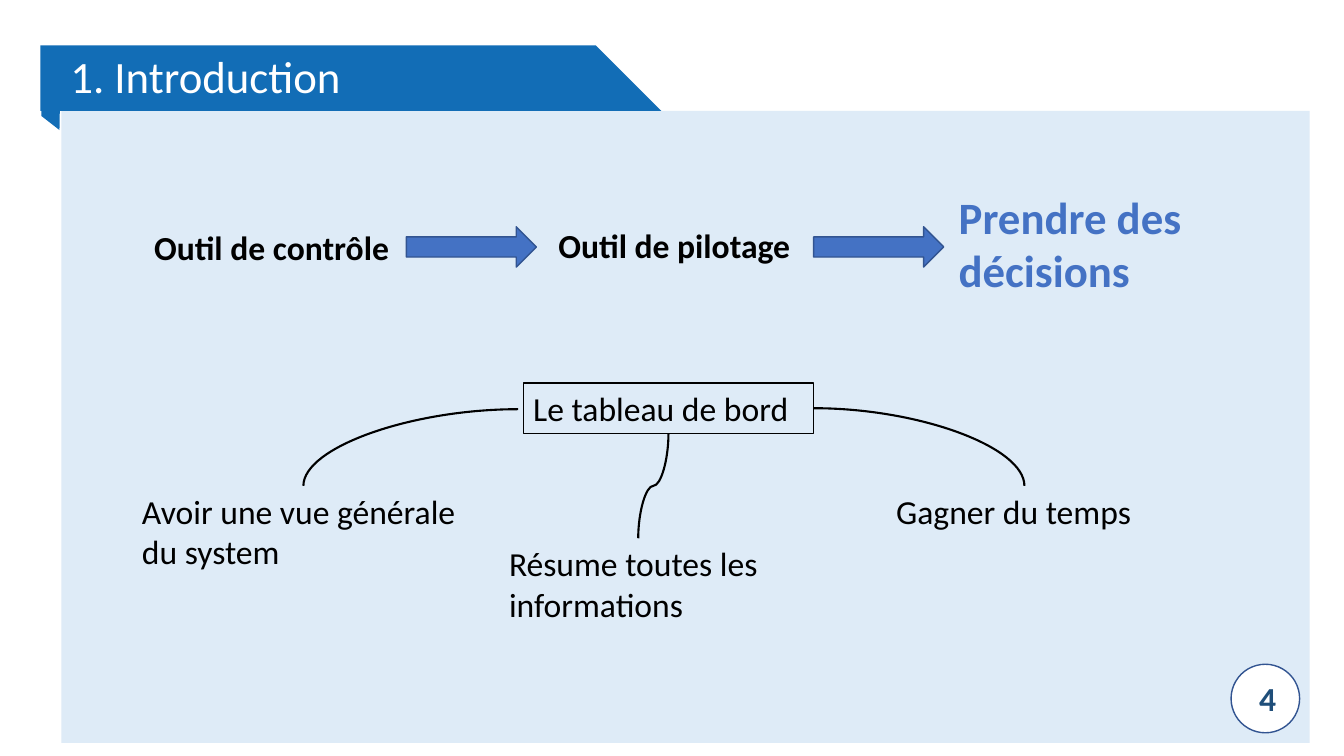
from lxml.etree import SubElement
from pptx import Presentation
from pptx.dml.color import RGBColor
from pptx.enum.shapes import MSO_CONNECTOR as Connector, MSO_SHAPE as Shape
from pptx.enum.text import MSO_ANCHOR as Anchor, PP_ALIGN as Align
from pptx.oxml.ns import qn
from pptx.util import Pt

EMU_PER_PX = 9144
BLACK, WHITE, BANNER_BLUE = "000000", "FFFFFF", "126DB6"
ARROW_BLUE, EDGE_BLUE, NUMBER_BLUE, PANEL_BLUE = "4472C4", "325491", "1F4E79", "DEEBF7"
BODY = {"name": "Calibri", "size": Pt(24), "bold": False, "color": BLACK}
STRONG = BODY | {"bold": True}
TITLE = BODY | {"size": Pt(32), "color": WHITE}
GOAL = STRONG | {"size": Pt(32), "color": ARROW_BLUE}
NUMBER = STRONG | {"color": NUMBER_BLUE}


def px(*lengths):
    """Turn px lengths into EMU."""
    return [length * EMU_PER_PX for length in lengths]


def rgb(value):
    """Turn a hex string into a colour."""
    return RGBColor.from_string(value)


def paint(shape, fill=None, line=None, width=1):
    """Set fill and outline, and drop the shadow."""
    shape.shadow.inherit = False
    if fill:
        shape.fill.solid()
        shape.fill.fore_color.rgb = rgb(fill)
    else:
        shape.fill.background()
    if line:
        shape.line.color.rgb = rgb(line)
        shape.line.width = Pt(width)
    else:
        shape.line.fill.background()


def add_block(slide, kind, box, **look):
    """Add a painted preset shape."""
    shape = slide.shapes.add_shape(kind, *px(*box))
    paint(shape, **look)
    return shape


def add_polygon(slide, points, fill):
    """Add a filled closed outline."""
    builder = slide.shapes.build_freeform(*points[0], scale=EMU_PER_PX)
    builder.add_line_segments(points[1:], close=True)
    paint(builder.convert_to_shape(), fill)


def write(shape, text, style, align=Align.LEFT, anchor=Anchor.TOP, spacing=1.0):
    """Write one paragraph into a shape."""
    frame = shape.text_frame
    frame.word_wrap = True
    frame.vertical_anchor = anchor
    paragraph = frame.paragraphs[0]
    paragraph.alignment = align
    paragraph.line_spacing = spacing
    run = paragraph.add_run()
    run.text = text
    for key, value in style.items():
        if key == "color":
            run.font.color.rgb = rgb(value)
        else:
            setattr(run.font, key, value)


def add_label(slide, box, text, style=BODY, **layout):
    """Add a text box with one paragraph."""
    write(slide.shapes.add_textbox(*px(*box)), text, style, **layout)


def add_curve(slide, start, end, preset, rotation=0):
    """Add a curved connector, turned by whole degrees."""
    connector = slide.shapes.add_connector(Connector.CURVE, *px(*start, *end))
    connector.line.color.rgb = rgb(BLACK)
    connector.line.width = Pt(1.5)
    properties = connector._element.spPr
    properties.find(qn("a:prstGeom")).set("prst", preset)
    properties.find(qn("a:xfrm")).set("rot", str(rotation * 60000))
    SubElement(properties, qn("a:effectLst"))


def draw_panel(slide, left, top, width, height):
    """Draw the pale panel with the page number in its corner."""
    add_block(slide, Shape.RECTANGLE, (left, top, width, height), fill=PANEL_BLUE)
    badge_left, badge_top = left + width - 78, top + height - 78
    add_block(slide, Shape.OVAL, (badge_left, badge_top, 68, 68), fill=WHITE, line=EDGE_BLUE)
    add_label(slide, (badge_left + 18, badge_top + 9, 32, 50), "4", NUMBER, align=Align.CENTER)


def draw_banner(slide, left, top, width, height):
    """Draw the folded title ribbon and its title."""
    right, bottom = left + width, top + height
    fold = [(left + 20, top + 25), (left + 1, top + 25), (left + 1, bottom + 5), (left + 19, bottom + 19)]
    ribbon = [(left, top), (right - height, top), (right, bottom), (left, bottom)]
    for points in (fold, ribbon):
        add_polygon(slide, points, BANNER_BLUE)
    add_label(slide, (left + 20, top - 17, width - 19, 100), "1. Introduction", TITLE,
              anchor=Anchor.MIDDLE, spacing=0.9)


def draw_flow(slide, left, top, width, height):
    """Draw the steps from control to decision, joined by arrows."""
    add_label(slide, (left, top + 37, 256, 50), "Outil de contrôle", STRONG)
    add_label(slide, (left + 401, top + 35, 299, 50), "Outil de pilotage", STRONG)
    add_label(slide, (left + width - 242, top, 242, height), "Prendre des décisions", GOAL)
    for offset in (260, 664):
        add_block(slide, Shape.RIGHT_ARROW, (left + offset, top + 42, 129, 40),
                  fill=ARROW_BLUE, line=EDGE_BLUE)


def draw_dashboard(slide, left, top, width, height):
    """Draw the dashboard box with a curve to each benefit."""
    hub = add_block(slide, Shape.RECTANGLE, (left + 388, top, 288, 50), line=BLACK, width=0.75)
    write(hub, "Le tableau de bord", BODY)
    benefits = [
        (0, 102, 339, 91, "Avoir une vue générale du system"),
        (width - 275, 102, 275, 50, "Gagner du temps"),
        (364, height - 91, 275, 91, "Résume toutes les informations"),
    ]
    for x, y, label_width, label_height, text in benefits:
        add_label(slide, (left + x, top + y, label_width, label_height), text)
    curves = [
        ((383, 26), (170, 102), "curvedConnector2", 0),
        ((676, 25), (885, 102), "curvedConnector2", 0),
        ((465, 87), (569, 117), "curvedConnector3", 90),
    ]
    for (x1, y1), (x2, y2), preset, rotation in curves:
        add_curve(slide, (left + x1, top + y1), (left + x2, top + y2), preset, rotation)


def main():
    """Build and save the slide."""
    presentation = Presentation()
    presentation.slide_width, presentation.slide_height = px(1333, 750)
    slide = presentation.slides.add_slide(presentation.slide_layouts[6])
    draw_panel(slide, 61, 110, 1238, 627)
    draw_banner(slide, 40, 45, 616, 65)
    draw_dashboard(slide, 131, 380, 1023, 245)
    draw_flow(slide, 143, 183, 1040, 118)
    presentation.save("out.pptx")


if __name__ == "__main__":
    main()
